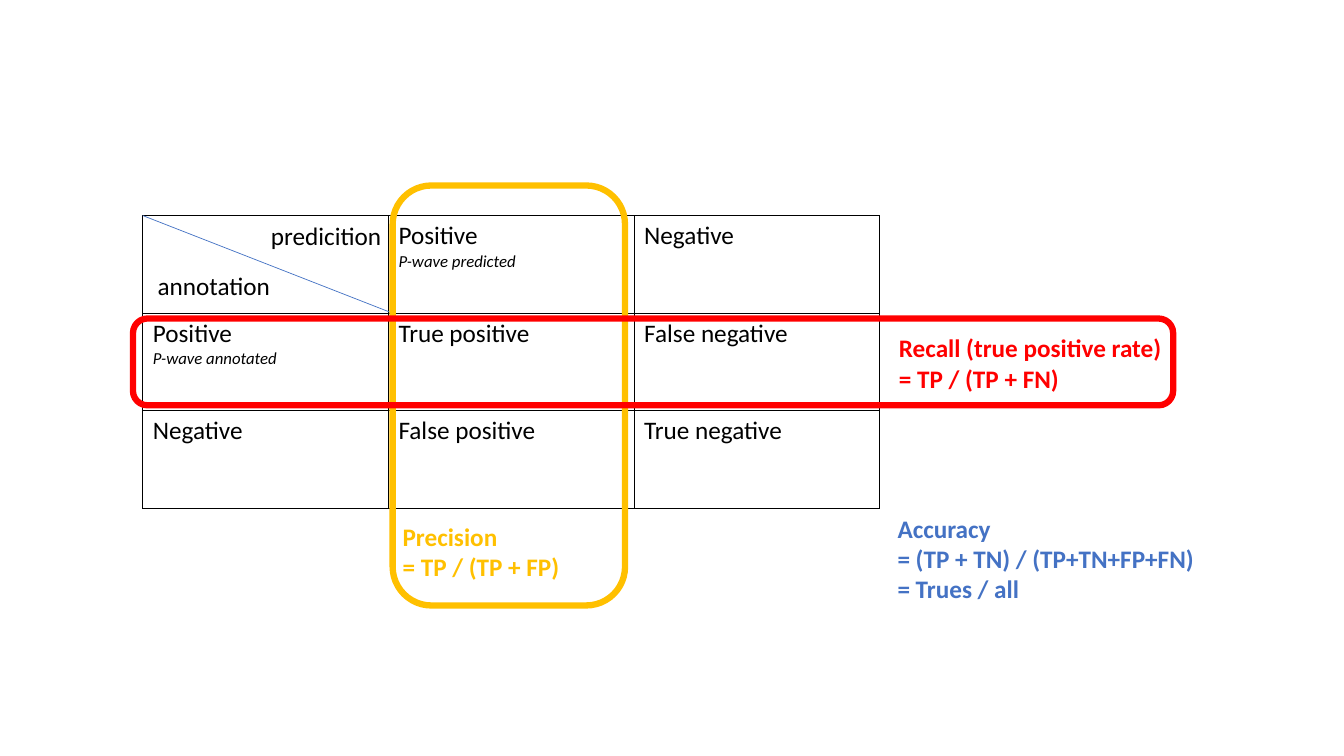
from lxml.etree import SubElement
from pptx import Presentation
from pptx.dml.color import RGBColor
from pptx.enum.shapes import MSO_CONNECTOR, MSO_SHAPE
from pptx.oxml.ns import qn
from pptx.util import Pt

BLACK, BLUE, GOLD, RED = "000000", "4472C4", "FFC000", "FF0000"
COL, ROW = 175.5, 69.75
CELLS = [
    ["", "Positive\nP-wave predicted", "Negative"],
    ["Positive\nP-wave annotated", "True positive", "False negative"],
    ["Negative", "False positive", "True negative"],
]


def color(hexa):
    return RGBColor.from_string(hexa)


def style(para, hexa=BLACK, size=18, bold=False, italic=False):
    font = para.font
    font.name, font.size = "Calibri", Pt(size)
    font.bold, font.italic = bold, italic
    font.color.rgb = color(hexa)


def label(slide, box, text, hexa=BLACK, bold=False):
    frame = slide.shapes.add_textbox(*map(Pt, box)).text_frame
    frame.word_wrap = False
    frame.text = text
    for para in frame.paragraphs:
        style(para, hexa, bold=bold)


def border(cell):
    props = cell._tc.get_or_add_tcPr()
    for index, side in enumerate(("lnL", "lnR", "lnT", "lnB")):
        line = props.makeelement(qn("a:" + side), {"w": str(Pt(1))})
        props.insert(index, line)
        fill = SubElement(line, qn("a:solidFill"))
        SubElement(fill, qn("a:srgbClr"), val=BLACK)


def matrix(slide, left, top):
    # Confusion table
    box = map(Pt, (left, top, 3 * COL, 3 * ROW))
    table = slide.shapes.add_table(3, 3, *box).table
    table.first_row = table.horz_banding = False
    for col in table.columns:
        col.width = Pt(COL)
    for row, texts in zip(table.rows, CELLS):
        row.height = Pt(ROW)
        for cell, text in zip(row.cells, texts):
            cell.fill.background()
            border(cell)
            cell.text = text
            first, *notes = cell.text_frame.paragraphs
            style(first)
            for note in notes:
                style(note, size=12, italic=True)

    # Split corner cell
    label(slide, (left + 84.5, top, 94, 29), "predicition")
    label(slide, (left + 3.5, top + 35.5, 96, 29), "annotation")
    ends = map(Pt, (left + COL + 3, top + ROW, left, top))
    line = slide.shapes.add_connector(MSO_CONNECTOR.STRAIGHT, *ends)
    line.line.color.rgb = color(BLUE)
    line.line.width = Pt(0.5)
    SubElement(line._element.spPr, qn("a:effectLst"))


def metric(slide, box, hexa, text, place):
    # Rounded frame with its formula, placed from the frame's corner
    frame = slide.shapes.add_shape(MSO_SHAPE.ROUNDED_RECTANGLE, *map(Pt, box))
    frame.shadow.inherit = False
    frame.fill.background()
    frame.line.color.rgb = color(hexa)
    frame.line.width = Pt(4.5)
    right, down, width, height = place
    spot = (box[0] + right, box[1] + down, width, height)
    label(slide, spot, text, hexa, bold=True)


def main():
    deck = Presentation()
    deck.slide_width, deck.slide_height = Pt(960), Pt(540)
    slide = deck.slides.add_slide(deck.slide_layouts[6])
    matrix(slide, 102, 154)
    metric(slide, (280.5, 132.5, 166, 300), GOLD,
           "Precision\n= TP / (TP + FP)", (0, 236, 132.5, 51))
    metric(slide, (95, 227.5, 743, 62), RED,
           "Recall (true positive rate)\n= TP / (TP + FN)", (540, 6.5, 204, 51))
    # Accuracy stands without a frame
    label(slide, (634, 363, 229, 73),
          "Accuracy\n= (TP + TN) / (TP+TN+FP+FN)\n= Trues / all", BLUE, bold=True)
    deck.save("out.pptx")


main()
